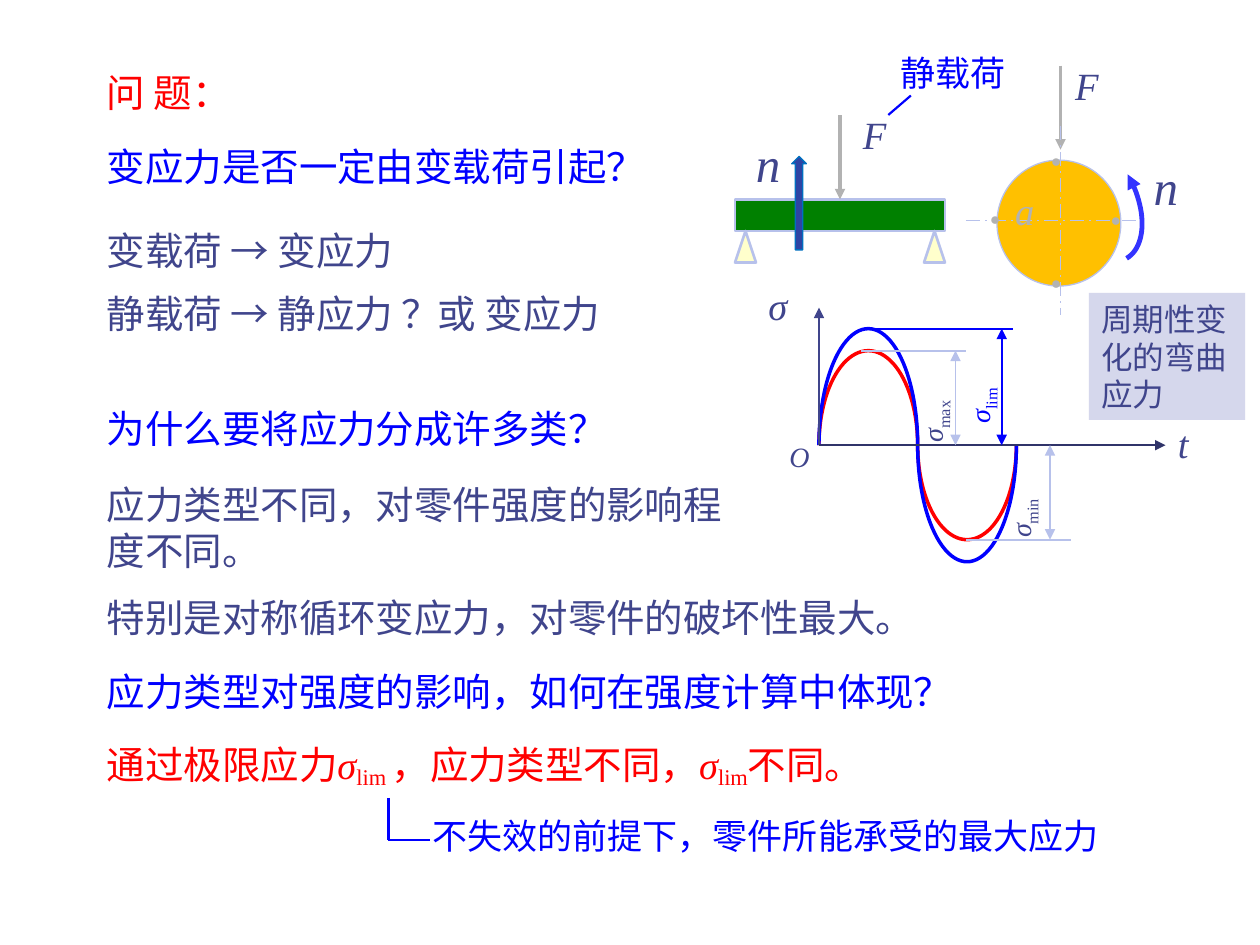
from lxml.etree import SubElement
from pptx import Presentation
from pptx.dml.color import RGBColor
from pptx.enum.dml import MSO_LINE_DASH_STYLE as DASH
from pptx.enum.shapes import MSO_CONNECTOR, MSO_SHAPE as SHAPE
from pptx.enum.text import PP_ALIGN
from pptx.oxml.ns import qn
from pptx.util import Inches, Pt

RED = RGBColor(0xFF, 0x00, 0x00)
BLUE = RGBColor(0x00, 0x00, 0xFF)
INDIGO = RGBColor(0x40, 0x45, 0x8C)
NAVY = RGBColor(0x30, 0x34, 0x69)
PALE = RGBColor(0xB7, 0xC1, 0xEB)
GREY = RGBColor(0xB2, 0xB2, 0xB2)
GREEN = RGBColor(0x00, 0x80, 0x00)
CREAM = RGBColor(0xFF, 0xFF, 0xCC)
AMBER = RGBColor(0xFF, 0xC0, 0x00)
LILAC = RGBColor(0xD5, 0xD7, 0xEC)
ROTATION_BLUE = RGBColor(0x33, 0x33, 0xFF)
ARROW_FILL = RGBColor(0x2D, 0x44, 0xA4)
ARROW_EDGE = RGBColor(0x00, 0x70, 0xC0)
LATIN, CJK = "Times New Roman", "Noto Sans CJK SC"

# Grid of 120 columns by 90 rows; every length below counts grid units
prs = Presentation()
prs.slide_width, prs.slide_height = Inches(10), Inches(7.5)
UNIT = prs.slide_width // 120
slide = prs.slides.add_slide(prs.slide_layouts[6])
shapes = slide.shapes


def write(box, runs, color, size=22, latin=LATIN, rotation=0, drop=25, wrap=True, on=None):
    """Runs are (text, style) pairs; style is '', 'i' for italic or 'sub'."""
    label = on or shapes.add_textbox(*[round(v * UNIT) for v in box])
    label.rotation = rotation
    frame = label.text_frame
    frame.word_wrap = wrap
    paragraph = frame.paragraphs[0]
    paragraph.alignment = PP_ALIGN.LEFT
    for text, style in runs:
        run = paragraph.add_run()
        run.text = text
        for key, value in {"size": Pt(size), "name": latin, "italic": style == "i"}.items():
            setattr(run.font, key, value)
        run.font.color.rgb = color
        props = run._r.get_or_add_rPr()
        SubElement(props, qn("a:ea")).set("typeface", CJK)
        if style == "sub":
            props.set("baseline", str(-drop * 1000))


def connect(x1, y1, x2, y2, color, width=1, ends=(), dash=None):
    line = shapes.add_connector(MSO_CONNECTOR.STRAIGHT,
                                *[round(v * UNIT) for v in (x1, y1, x2, y2)])
    line.line.color.rgb = color
    line.line.width = Pt(width)
    if dash:
        line.line.dash_style = dash
    for end in ends:
        SubElement(line.line._get_or_add_ln(), qn("a:" + end)).set("type", "triangle")
    SubElement(line._element.spPr, qn("a:effectLst"))
    return line


TAIL, BOTH = ("tailEnd",), ("headEnd", "tailEnd")

# Questions and answers down the left
LEFT = 9
for top, width, height, color, text in [
    (6, 20, 6, RED, "问 题："),
    (13, 63, 6, BLUE, "变应力是否一定由变载荷引起？"),
    (21, 41, 6, INDIGO, "变载荷 → 变应力"),
    (27, 41, 6, INDIGO, "静载荷 → 静应力 ？"),
    (38, 63, 6, BLUE, "为什么要将应力分成许多类？"),
    (45.2, 63, 10.8, INDIGO, "应力类型不同，对零件强度的影响程度不同。"),
    (56, 98, 6, INDIGO, "特别是对称循环变应力，对零件的破坏性最大。"),
    (63, 98, 6, BLUE, "应力类型对强度的影响，如何在强度计算中体现？"),
]:
    write((LEFT, top, width, height), [(text, "")], color)
write((40.5, 27, 21, 6), [("或 变应力", "")], INDIGO)
write((LEFT, 70, 98, 6),
      [("通过极限应力", ""), ("σ", "i"), ("lim ", "sub"), ("，应力类型不同，", ""),
       ("σ", "i"), ("lim", "sub"), ("不同。", "")], RED, drop=14)

# Explanation of the limit stress
connect(37, 76, 37, 80, BLUE, 1.5)
connect(37, 80, 41, 80, BLUE, 1.5)
write((40, 77, 68, 5.2), [("不失效的前提下，零件所能承受的最大应力", "")], BLUE, 20)

# Beam, supports, rotating section, note and stress half-waves
AXIS_Y, PERIOD_X, HALF_WAVE = 42.4, 78, 9.4
specs = [
    (SHAPE.RECTANGLE, (70, 19, 20, 3), GREEN, PALE, 1.5, None),
    (SHAPE.ISOSCELES_TRIANGLE, (70, 22, 2, 3), CREAM, PALE, 1.5, None),
    (SHAPE.ISOSCELES_TRIANGLE, (88, 22, 2, 3), CREAM, PALE, 1.5, None),
    (SHAPE.OVAL, (94.95, 15.25, 11.8, 12), AMBER, PALE, 0.75, None),
    (SHAPE.RECTANGLE, (103.7, 27.9, 14.9, 12.1), LILAC, None, 0, None),
    (SHAPE.UP_ARROW, (75.4, 14.9, 1.4, 8.9), ARROW_FILL, ARROW_EDGE, 0.75, None),
]
for amplitude, color in [(9, RED), (11.1, BLUE)]:
    for half, angles in enumerate([(108, 0), (0, 108)]):
        specs.append((SHAPE.ARC, (PERIOD_X + half * HALF_WAVE, AXIS_Y - amplitude,
                                  HALF_WAVE, 2 * amplitude), None, color, 2, angles))
drawn = []
for kind, box, fill, edge, width, angles in specs:
    part = shapes.add_shape(kind, *[round(v * UNIT) for v in box])
    part.shadow.inherit = False
    if fill is None:
        part.fill.background()
    else:
        part.fill.solid()
        part.fill.fore_color.rgb = fill
    if edge is None:
        part.line.fill.background()
    else:
        part.line.color.rgb = edge
        part.line.width = Pt(width)
    if angles:
        part.adjustments[0], part.adjustments[1] = angles
    drawn.append(part)
beam, note = drawn[0], drawn[4]
write(None, [("周期性变化的弯曲应力", "")], INDIGO, 18, latin=CJK, on=note)

# Loads and centre lines
load = connect(80, 11, 80, 19, GREY, 2, TAIL)
load.end_connect(beam, 0)
connect(101, 6.25, 101, 14.25, GREY, 2, TAIL)
connect(92, 21, 109, 21, PALE, dash=DASH.LONG_DASH_DOT)
connect(101, 12, 101, 30, PALE, dash=DASH.LONG_DASH_DOT)
connect(86.75, 9.1, 84.6, 10.95, BLUE, 1.25)
write((84.6, 4.3, 13.2, 5.2), [("静载荷", "")], BLUE, 20)

# Points on the rim of the section
for x, y in [(98.9, 13.7), (104.6, 19.3), (93.1, 19.2), (98.9, 25.3)]:
    write((x, y, 4.6, 3.2), [("●", "")], GREY, 10, wrap=False)

# Rotation arrow, a cubic curve traced in short steps
bend = [(107.3, 24.6), (109.2, 23.5), (109.3, 19.9), (107.4, 16.6)]
STEPS = 24
trace = []
for step in range(STEPS + 1):
    t = step / STEPS
    weights = ((1 - t) ** 3, 3 * t * (1 - t) ** 2, 3 * t * t * (1 - t), t ** 3)
    trace.append(tuple(round(UNIT * sum(w * p[axis] for w, p in zip(weights, bend)))
                       for axis in (0, 1)))
builder = shapes.build_freeform(*trace[0])
builder.add_line_segments(trace[1:], close=False)
turn = builder.convert_to_shape()
turn.shadow.inherit = False
turn.fill.background()
turn.line.color.rgb = ROTATION_BLUE
turn.line.width = Pt(2.75)
SubElement(turn.line._get_or_add_ln(), qn("a:tailEnd")).set("type", "triangle")

# Stress axes
connect(78, AXIS_Y, 78, 29.3, INDIGO, 1.5, TAIL)
connect(78, AXIS_Y, 111, AXIS_Y, NAVY, 1.5, TAIL)

# Symbols
for symbol, box, size, color in [
    ("F", (81, 10, 9, 6), 22, INDIGO),
    ("F", (101.2, 5.3, 9, 6), 22, INDIGO),
    ("n", (70.8, 12.1, 9, 6.8), 28, INDIGO),
    ("n", (108.7, 14.3, 4, 6.8), 28, INDIGO),
    ("a", (95.5, 17.2, 4, 6), 22, GREY),
    ("σ", (72, 26.3, 6, 6), 22, INDIGO),
    ("t", (111, 39.4, 6, 6), 22, INDIGO),
    ("O", (74, 41.3, 6, 4.4), 16, INDIGO),
]:
    write(box, [(symbol, "i")], color, size)

# Dimensions: level line from start to stop, arrow down or up to the axis
for name, color, level, start, stop, arrow_x, text_x, text_y in [
    ("max", PALE, 33.4, 82, 92, 91, 82.3, 34.6),
    ("min", PALE, 51.4, 92, 102, 100, 90.7, 43.7),
    ("lim", BLUE, 31.3, 82.7, 96.5, 95.4, 86.8, 32.8),
]:
    connect(start, level, stop, level, color)
    connect(arrow_x, level, arrow_x, AXIS_Y, color, ends=BOTH)
    write((text_x, text_y, 13, 4.4), [("σ", "i"), (name, "sub")],
          BLUE if color == BLUE else INDIGO, 16, rotation=270.5)

prs.save("out.pptx")
